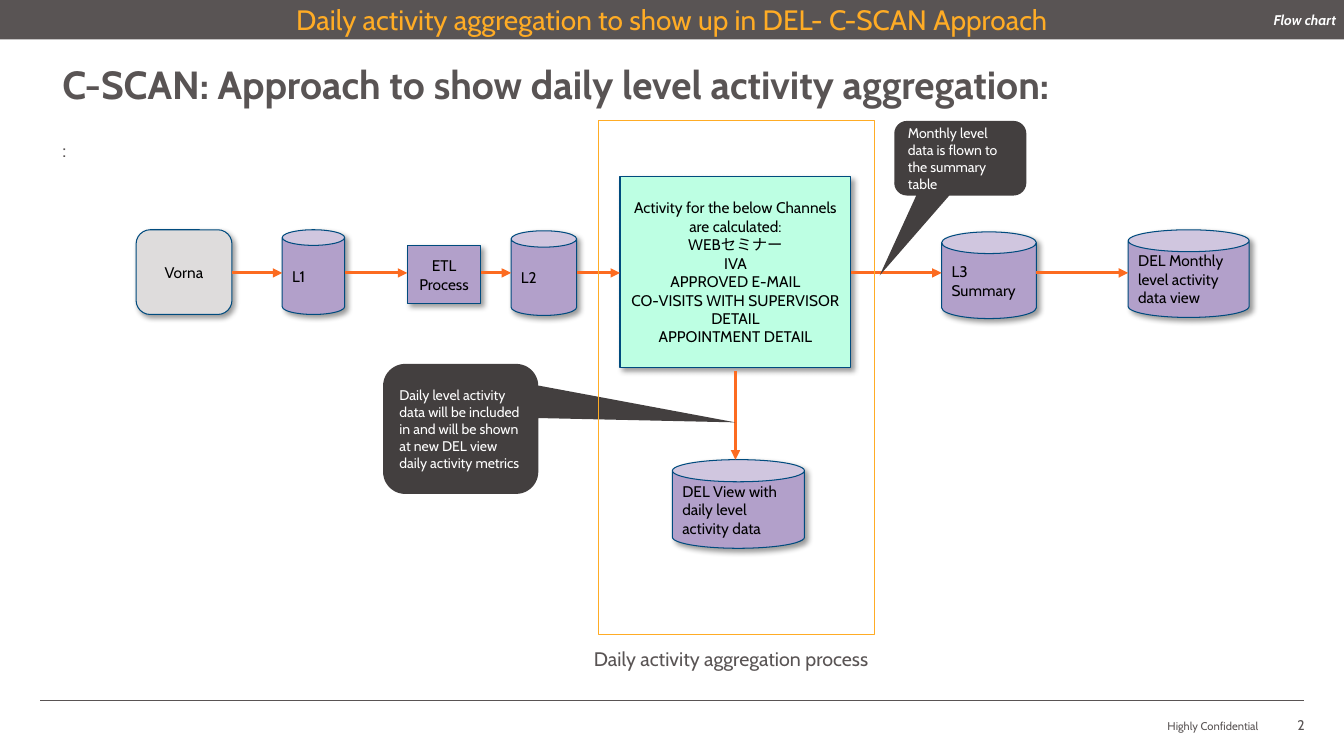
import dataclasses
import itertools
import lxml.etree
import pptx
import pptx.dml.color
import pptx.enum.shapes
import pptx.enum.text
import pptx.oxml.ns
import pptx.util

SHAPE = pptx.enum.shapes.MSO_SHAPE
ALIGN = pptx.enum.text.PP_ALIGN
ANCHOR = pptx.enum.text.MSO_ANCHOR
WIDTH, HEIGHT = pptx.util.Inches(13.33), pptx.util.Inches(7.5)
COLUMN, ROW = WIDTH / 100, HEIGHT / 100


@dataclasses.dataclass(frozen=True)
class Theme:
    font: str = "Cabin"
    gray: str = "595454"
    dark: str = "433F3F"
    amber: str = "FFAC25"
    orange: str = "FC6B20"
    navy: str = "004B7E"
    purple: str = "B2A0CA"
    mint: str = "BDFFE3"
    silver: str = "DEDCDC"
    white: str = "FFFFFF"
    black: str = "000000"
    title: int = 28
    banner: int = 20
    body: int = 14
    stage: int = 11
    small: int = 10
    fine: int = 8


@dataclasses.dataclass(frozen=True)
class Box:
    left: float
    top: float
    width: float
    height: float

    @property
    def right(self):
        return self.left + self.width

    @property
    def bottom(self):
        return self.top + self.height

    @property
    def center(self):
        return self.left + self.width / 2

    def inner(self, left, top, width, height):
        return Box(self.left + left, self.top + top, width, height)

    def lengths(self):
        return [round(value * unit) for value, unit in zip(
            (self.left, self.top, self.width, self.height), (COLUMN, ROW, COLUMN, ROW))]


THEME = Theme()


def rgb(color):
    return pptx.dml.color.RGBColor.from_string(color)


def add_effects(shape, shadow=False):
    properties = shape._element.spPr
    for effects in properties.findall(pptx.oxml.ns.qn("a:effectLst")):
        properties.remove(effects)
    effects = lxml.etree.SubElement(properties, pptx.oxml.ns.qn("a:effectLst"))
    if shadow:
        outer = lxml.etree.SubElement(
            effects, pptx.oxml.ns.qn("a:outerShdw"),
            blurRad=str(pptx.util.Pt(4)), dist=str(pptx.util.Pt(3)), dir="2700000")
        color = lxml.etree.SubElement(outer, pptx.oxml.ns.qn("a:srgbClr"), val=THEME.black)
        lxml.etree.SubElement(color, pptx.oxml.ns.qn("a:alpha"), val="40000")


def write_text(shape, text, size=THEME.stage, color=THEME.black, bold=False, italic=False,
               align=ALIGN.LEFT, anchor=ANCHOR.TOP, insets=(0, 0), spacing=1.0):
    frame = shape.text_frame
    frame.word_wrap = True
    frame.vertical_anchor = anchor
    frame.margin_left = frame.margin_right = pptx.util.Inches(insets[0])
    frame.margin_top = frame.margin_bottom = pptx.util.Inches(insets[1])
    frame.text = text
    for paragraph in frame.paragraphs:
        paragraph.alignment = align
        paragraph.line_spacing = spacing
        for run in paragraph.runs:
            run.font.name = THEME.font
            run.font.size = pptx.util.Pt(size)
            run.font.bold = bold
            run.font.italic = italic
            run.font.color.rgb = rgb(color)


def add_label(slide, box, text, **text_format):
    write_text(slide.shapes.add_textbox(*box.lengths()), text, **text_format)


def add_block(slide, box, kind, fill=None, line=None, shadow=False):
    shape = slide.shapes.add_shape(kind, *box.lengths())
    shape.shadow.inherit = False
    if fill:
        shape.fill.solid()
        shape.fill.fore_color.rgb = rgb(fill)
    else:
        shape.fill.background()
    if line:
        shape.line.color.rgb = rgb(line)
        shape.line.width = pptx.util.Pt(0.75)
    else:
        shape.line.fill.background()
    if shadow:
        add_effects(shape, shadow=True)
    return shape


def add_line(slide, start, end, color, width, arrow=False):
    ends = [round(value * unit) for value, unit in zip(start + end, (COLUMN, ROW) * 2)]
    connector = slide.shapes.add_connector(pptx.enum.shapes.MSO_CONNECTOR.STRAIGHT, *ends)
    connector.line.color.rgb = rgb(color)
    connector.line.width = pptx.util.Pt(width)
    if arrow:
        lxml.etree.SubElement(connector.line._get_or_add_ln(),
                              pptx.oxml.ns.qn("a:tailEnd"), type="triangle")
    add_effects(connector)


def add_stage(slide, box, kind, fill, text):
    shape = add_block(slide, box, kind, fill, THEME.navy, shadow=True)
    write_text(shape, text, anchor=ANCHOR.MIDDLE, insets=(0.1, 0.1),
               align=ALIGN.LEFT if kind == SHAPE.CAN else ALIGN.CENTER)


def add_callout(slide, box, pointer, text):
    shape = add_block(slide, box, SHAPE.ROUNDED_RECTANGULAR_CALLOUT, THEME.dark)
    for index, value in enumerate(pointer):
        shape.adjustments[index] = value
    write_text(shape, text, size=THEME.small, color=THEME.white,
               anchor=ANCHOR.MIDDLE, insets=(0.1, 0.05))


def build_header(slide, box):
    banner = add_block(slide, box, SHAPE.RECTANGLE, THEME.gray)
    write_text(banner, "Daily activity aggregation to show up in DEL- C-SCAN Approach",
               size=THEME.banner, color=THEME.amber, align=ALIGN.CENTER, anchor=ANCHOR.MIDDLE)
    add_label(slide, box.inner(81, 0, 18.4, box.height), "Flow chart", size=THEME.small,
              color=THEME.white, bold=True, italic=True, align=ALIGN.RIGHT, anchor=ANCHOR.MIDDLE)


def build_heading(slide, box):
    add_label(slide, box, "C-SCAN: Approach to show daily level activity aggregation:",
              size=THEME.title, color=THEME.gray, bold=True, spacing=0.9)
    add_label(slide, box.inner(0, 9.6, 13.65, 6.67), ":", size=THEME.body, color=THEME.gray)


def build_flow(slide, box):
    channels = ("Activity for the below Channels are calculated:", "WEBセミナー", "IVA",
                "APPROVED E-MAIL", "CO-VISITS WITH SUPERVISOR", "DETAIL", "APPOINTMENT DETAIL")
    stages = [
        (box.inner(0.13, 14.4, 7.13, 11.2), SHAPE.ROUNDED_RECTANGLE, THEME.silver, "Vorna"),
        (box.inner(11, 14.4, 4.65, 11.2), SHAPE.CAN, THEME.purple, "L1"),
        (box.inner(20.3, 16.53, 5.48, 7.6), SHAPE.RECTANGLE, THEME.purple, "ETL Process"),
        (box.inner(28.03, 14.53, 4.88, 11.2), SHAPE.CAN, THEME.purple, "L2"),
        (box.inner(36.13, 7.33, 17.18, 25.33), SHAPE.RECTANGLE, THEME.mint, "\n".join(channels)),
        (box.inner(60.06, 14.67, 7.05, 11.47), SHAPE.CAN, THEME.purple, "L3 Summary"),
        (box.inner(73.94, 14.4, 9, 11.6), SHAPE.CAN, THEME.purple,
         "DEL Monthly level activity data view"),
    ]
    daily_view = (box.inner(40.03, 44.8, 9.83, 11.73), SHAPE.CAN, THEME.purple,
                  "DEL View with daily level activity data")
    for stage in stages + [daily_view]:
        add_stage(slide, *stage)

    arrow_row = box.top + 20.1
    boxes = [stage[0] for stage in stages]
    arrows = [((first.right, arrow_row), (second.left, arrow_row))
              for first, second in itertools.pairwise(boxes)]
    activity = boxes[4]
    arrows.append(((activity.center, activity.bottom + 0.4),
                   (activity.center, daily_view[0].top)))
    for start, end in arrows:
        add_line(slide, start, end, THEME.orange, 2.25, arrow=True)

    add_callout(slide, box.inner(56.54, 0, 9.83, 9.87), (-0.61, 1.57, 0.17),
                "Monthly level data is flown to the summary table")
    add_callout(slide, box.inner(18.5, 32.13, 11.55, 17.2), (1.77, -0.05, 0.17),
                "Daily level activity data will be included in and will be shown "
                "at new DEL view daily activity metrics")
    add_block(slide, box.inner(34.56, 0, 20.48, 67.87), SHAPE.FLOWCHART_PROCESS, line=THEME.amber)
    add_label(slide, box.inner(34.18, 69.6, 25.28, 4.4), "Daily activity aggregation process",
              size=THEME.body, color=THEME.gray)


def build_footer(slide, box):
    add_line(slide, (box.left, box.top), (box.right, box.top), THEME.gray, 0.5)
    add_label(slide, box.inner(64.3, 1.07, 26.33, 3.2), "Highly Confidential", size=THEME.fine,
              color=THEME.gray, align=ALIGN.RIGHT, anchor=ANCHOR.BOTTOM)
    add_label(slide, box.inner(92.8, 1.47, 2.63, 3.33), "2", size=THEME.small,
              color=THEME.gray, insets=(0.1, 0.05))


presentation = pptx.Presentation()
presentation.slide_width, presentation.slide_height = WIDTH, HEIGHT
flow_slide = presentation.slides.add_slide(presentation.slide_layouts[6])
build_footer(flow_slide, Box(3, 92.67, 94, 6))
build_heading(flow_slide, Box(4.65, 8.67, 90.77, 11.47))
build_flow(flow_slide, Box(10, 16, 83, 74))
build_header(flow_slide, Box(0, 0, 100, 5.2))
presentation.save("out.pptx")
